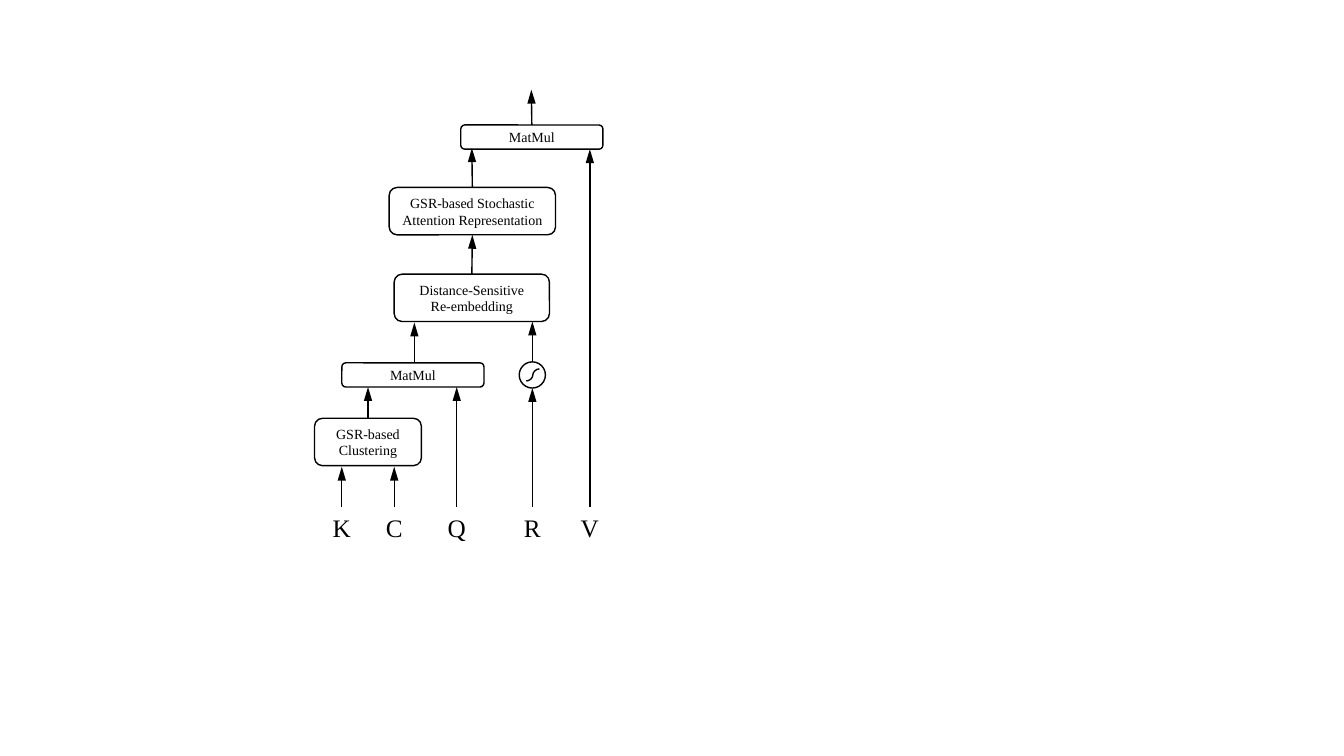
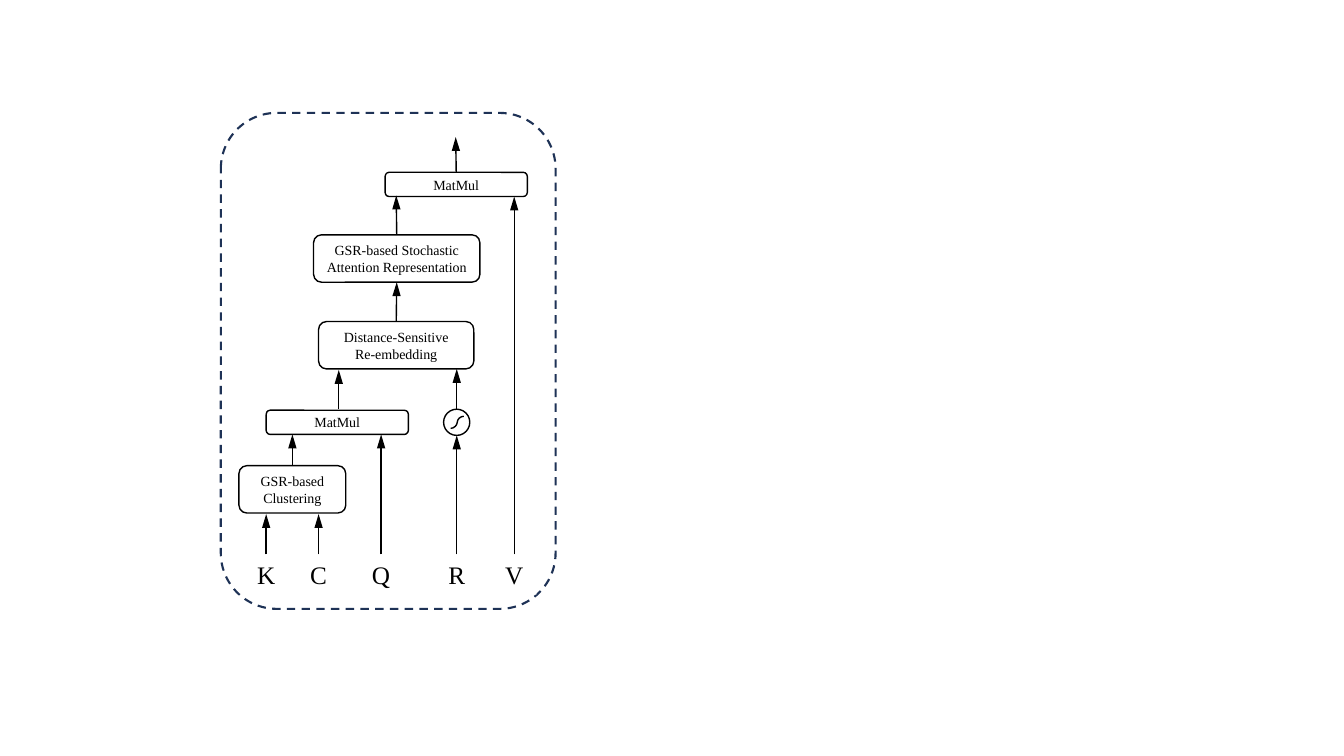
from lxml import etree
from pptx import Presentation
from pptx.dml.color import RGBColor
from pptx.enum.dml import MSO_LINE
from pptx.enum.shapes import MSO_CONNECTOR, MSO_SHAPE
from pptx.enum.text import MSO_ANCHOR, PP_ALIGN
from pptx.oxml.ns import qn
from pptx.util import Pt

PX = 9144
WIDE, HIGH = 1333, 750
FONT = "Times New Roman"
BLACK = RGBColor(0x00, 0x00, 0x00)
WHITE = RGBColor(0xFF, 0xFF, 0xFF)
NAVY = RGBColor(0x1E, 0x32, 0x56)
ROUND, RECT = MSO_SHAPE.ROUNDED_RECTANGLE, MSO_SHAPE.RECTANGLE
CIRCLE = MSO_SHAPE.FLOWCHART_CONNECTOR
LINE, CURVE = MSO_CONNECTOR.STRAIGHT, MSO_CONNECTOR.CURVE
DASH = MSO_LINE.DASH
MIDDLE, TOP, CENTER = MSO_ANCHOR.MIDDLE, MSO_ANCHOR.TOP, PP_ALIGN.CENTER
UP, DOWN = 0, 2

BOXES = {
    "score": (339, 360, 141, 24, "MatMul"),
    "attend": (386, 186, 165, 47, "GSR-based Stochastic\nAttention Representation"),
    "embed": (391, 272, 154, 47, "Distance-Sensitive\nRe-embedding"),
    "output": (457, 124, 141, 24, "MatMul"),
    "cluster": (312, 415, 106, 47, "GSR-based\nClustering"),
}
INPUTS = {"K": 339, "C": 391, "Q": 453, "R": 528, "V": 585}
INPUT_TOP, INPUT_W, INPUT_H = 503, 44, 40
FLOWS = [
    ("K", 339, 463), ("C", 391, 463), ("Q", 453, 384),
    ("R", 528, 385), ("V", 585, 148), ("cluster", 365, 384),
    ("attend", 468, 147), ("output", 527, 89), ("gate", 528, 319),
]


def write(shape, text, size=10, anchor=MIDDLE, color=BLACK):
    """Put centred lines of text in a shape."""
    frame = shape.text_frame
    frame.word_wrap = True
    frame.vertical_anchor = anchor
    frame.margin_left = frame.margin_right = 0
    frame.text = text
    for para in frame.paragraphs:
        para.alignment = CENTER
        para.font.size = Pt(size)
        para.font.name = FONT
        para.font.color.rgb = color


def add_box(shapes, kind, x, y, w, h, fill=WHITE, line=BLACK, width=1):
    """Add a preset shape with a fill and an outline, or without either."""
    shape = shapes.add_shape(kind, x * PX, y * PX, w * PX, h * PX)
    shape.shadow.inherit = False
    if fill is None:
        shape.fill.background()
    else:
        shape.fill.solid()
        shape.fill.fore_color.rgb = fill
    if line is None:
        shape.line.fill.background()
    else:
        shape.line.color.rgb = line
        shape.line.width = Pt(width)
    return shape


def add_line(shapes, start, end, kind=LINE, head=True):
    """Add a black connector, with an arrowhead at its end if asked."""
    line = shapes.add_connector(kind, *(n * PX for n in start + end))
    line.line.color.rgb = BLACK
    line.line.width = Pt(1)
    if head:
        etree.SubElement(line.line._get_or_add_ln(), qn("a:tailEnd"),
                         type="triangle", w="med", len="lg")
    etree.SubElement(line._element.spPr, qn("a:effectLst"))
    return line


def add_gate(shapes, dx, dy):
    """Add the circle with the sigmoid curve and return the circle."""
    group = shapes.add_group_shape().shapes
    circle = add_box(group, CIRCLE, 515 + dx, 359 + dy, 26, 26)
    add_line(group, (522 + dx, 378 + dy), (535 + dx, 366 + dy), CURVE, False)
    return circle


def draw(shapes, dx=0, dy=0):
    """Draw the attention diagram, moved by dx and dy."""
    nodes = {}
    for name, (x, y, w, h, text) in BOXES.items():
        nodes[name] = add_box(shapes, ROUND, x + dx, y + dy, w, h)
        write(nodes[name], text)
    for name, mid in INPUTS.items():
        nodes[name] = add_box(shapes, RECT, mid - INPUT_W // 2 + dx,
                              INPUT_TOP + dy, INPUT_W, INPUT_H, line=None)
        write(nodes[name], name, size=18, anchor=TOP)
    nodes["gate"] = add_gate(shapes, dx, dy)

    for name, x, y in FLOWS:
        end = (x + dx, y + dy)
        add_line(shapes, end, end).begin_connect(nodes[name], UP)
    add_line(shapes, (411 + dx, 359 + dy), (411 + dx, 320 + dy))
    link = add_line(shapes, (468 + dx, 272 + dy), (468 + dx, 233 + dy))
    link.begin_connect(nodes["embed"], UP)
    link.end_connect(nodes["attend"], DOWN)


def main():
    """Build both slides and save them."""
    deck = Presentation()
    deck.slide_width, deck.slide_height = WIDE * PX, HIGH * PX
    blank = deck.slide_layouts[6]
    draw(deck.slides.add_slide(blank).shapes)

    shapes = deck.slides.add_slide(blank).shapes
    frame = add_box(shapes, ROUND, 219, 112, 332, 492, None, NAVY, 1.5)
    frame.line.dash_style = DASH
    draw(shapes.add_group_shape().shapes, -75, 47)
    deck.save("out.pptx")


if __name__ == "__main__":
    main()
